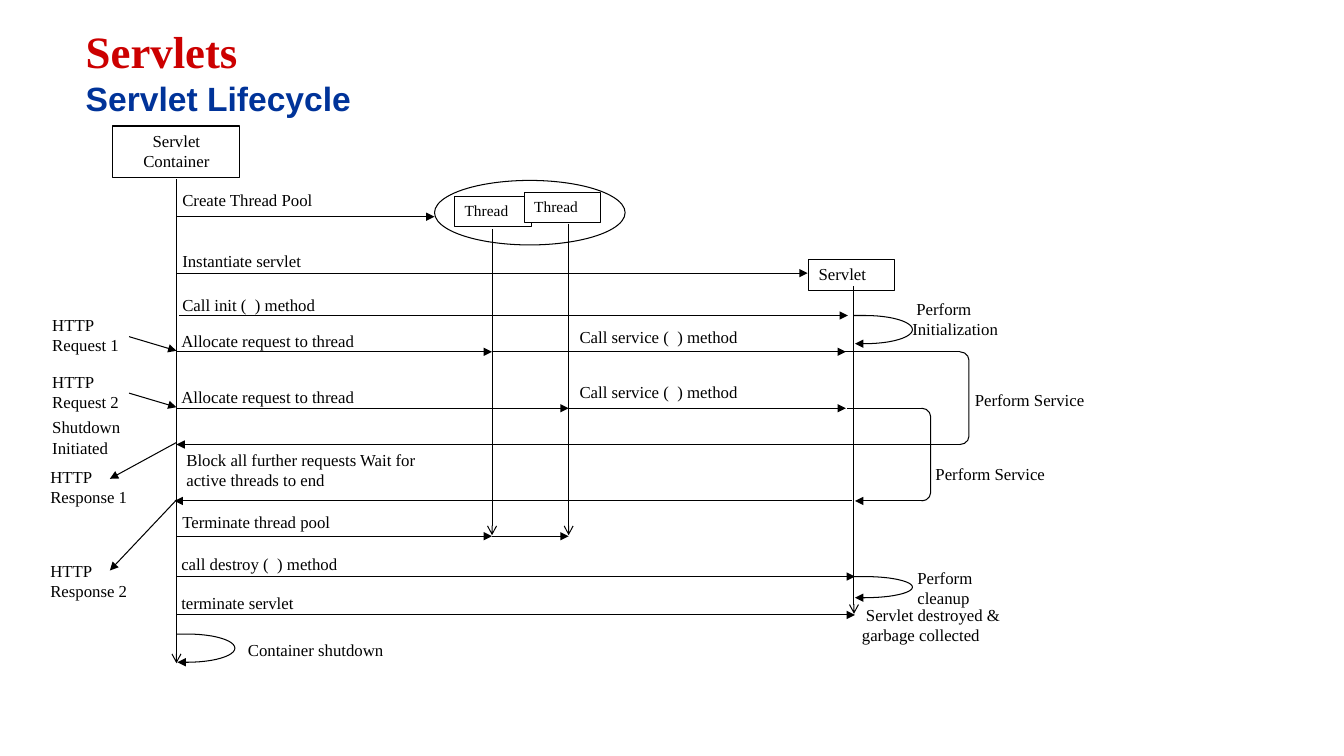
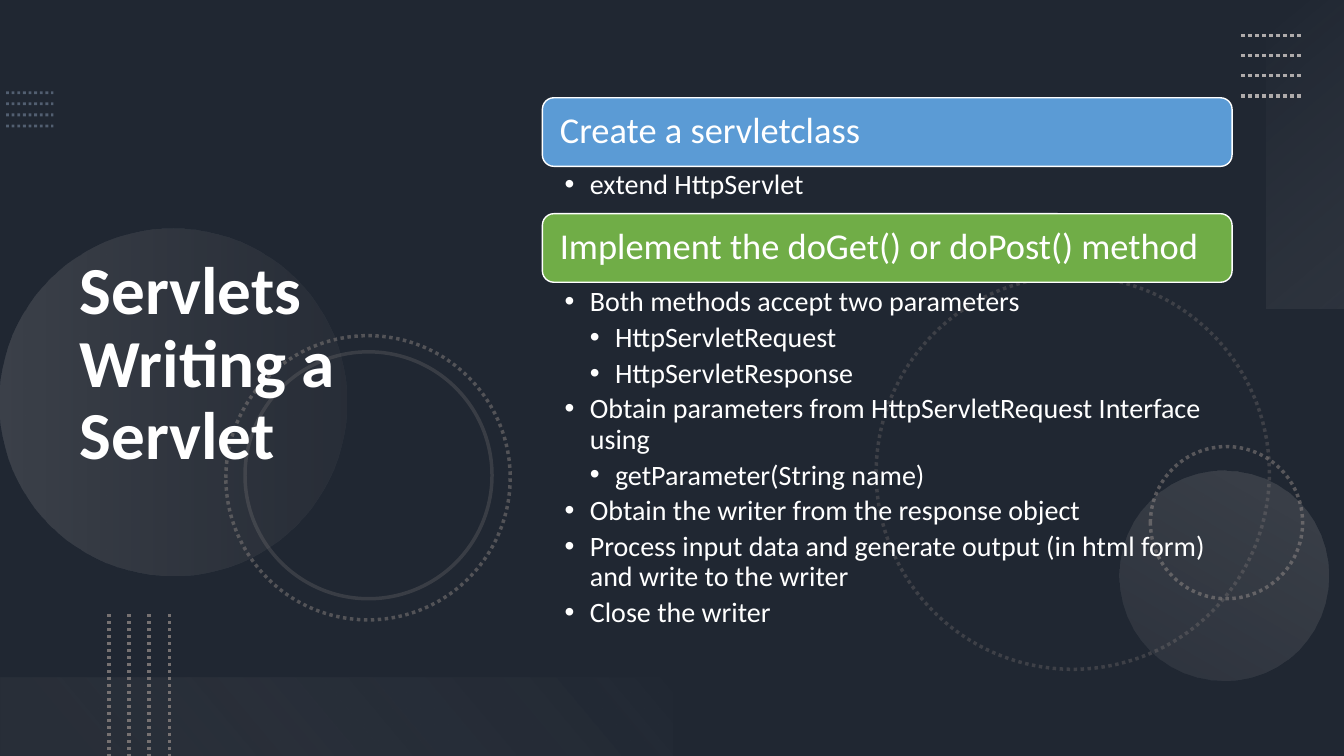
"""Build two slides on servlets: the lifecycle diagram and the steps for writing one."""
from dataclasses import dataclass
from math import cos, pi, sin

from lxml import etree
from pptx import Presentation
from pptx.dml.color import RGBColor
from pptx.enum.dml import MSO_LINE
from pptx.enum.shapes import MSO_CONNECTOR, MSO_SHAPE
from pptx.enum.text import MSO_ANCHOR, MSO_AUTO_SIZE, PP_ALIGN
from pptx.oxml.ns import qn
from pptx.util import Inches, Pt

RECT, ROUND = MSO_SHAPE.RECTANGLE, MSO_SHAPE.ROUNDED_RECTANGLE
OVAL, BRACKET = MSO_SHAPE.OVAL, MSO_SHAPE.RIGHT_BRACKET
STRAIGHT, DOTS = MSO_CONNECTOR.STRAIGHT, MSO_LINE.ROUND_DOT
TOP, MIDDLE = MSO_ANCHOR.TOP, MSO_ANCHOR.MIDDLE
LEFT, CENTER = PP_ALIGN.LEFT, PP_ALIGN.CENTER
NO_FIT = MSO_AUTO_SIZE.NONE
TITLE_ONLY, TWO_CONTENT = 5, 3


@dataclass(frozen=True)
class Theme:
    ink: str = "000000"
    paper: str = "FFFFFF"
    night: str = "202732"
    red: str = "CC0000"
    navy: str = "003399"
    blue: str = "5B9BD5"
    green: str = "70AD47"
    steel: str = "8497B0"
    gray: str = "767171"
    silver: str = "AFABAB"
    pale: str = "F5F5F5"
    serif: str = "Times New Roman"
    sans: str = "Arial"
    body: str = "Calibri"
    small: float = 11
    label: float = 12
    item: float = 20
    subtitle: float = 24
    step: float = 26
    heading: float = 32
    cover: float = 48
    thin: float = 0.75
    dot: float = 2.5


T = Theme()


def rgb(value):
    return RGBColor.from_string(value)


def write(p, text, size=T.label, color=T.ink, font=T.serif, bold=False,
          align=LEFT, spacing=1.0, after=0, indent=0):
    p.alignment, p.line_spacing = align, spacing
    p.space_before, p.space_after = Pt(0), Pt(after)
    if indent:
        p._p.get_or_add_pPr().set("indent", str(Inches(indent)))
    r = p.add_run()
    r.text = text
    r.font.size, r.font.name, r.font.bold = Pt(size), font, bold
    r.font.color.rgb = rgb(color)


def fade(element, percent):
    for node in element.iter(qn("a:srgbClr")):
        etree.SubElement(node, qn("a:alpha")).set("val", str(percent * 1000))


class Deck:
    def __init__(self):
        self.prs = Presentation()
        self.prs.slide_width, self.prs.slide_height = Inches(13.33), Inches(7.5)
        self.s = None

    def slide(self, layout, background):
        self.s = self.prs.slides.add_slide(self.prs.slide_layouts[layout])
        fill = self.s.background.fill
        fill.solid()
        fill.fore_color.rgb = rgb(background)

    def frame(self, sp, anchor=TOP, insets=(0.1, 0.05, 0.1, 0.05)):
        tf = sp.text_frame
        tf.word_wrap, tf.auto_size, tf.vertical_anchor = True, NO_FIT, anchor
        (tf.margin_left, tf.margin_top,
         tf.margin_right, tf.margin_bottom) = map(Inches, insets)
        return tf

    def place(self, sp, box):
        sp.left, sp.top, sp.width, sp.height = map(Inches, box)
        sp.element.getparent().append(sp.element)

    def title(self, box, lines, **style):
        sp = self.s.shapes.title
        self.place(sp, box)
        p = self.frame(sp, MIDDLE).paragraphs[0]
        for i, (text, look) in enumerate(lines):
            if i:
                p.add_line_break()
            write(p, text, bold=True, **look, **style)

    def bullets(self, idx, box, items):
        sp = self.s.placeholders[idx]
        self.place(sp, box)
        tf = self.frame(sp, insets=(0.22, 0.04, 0.2, 0.04))
        for i, (level, text) in enumerate(items):
            p = tf.add_paragraph() if i else tf.paragraphs[0]
            p.level = level
            pPr = p._p.get_or_add_pPr()
            pPr.set("marL", str(Inches(0.25 * (level + 1))))
            etree.SubElement(pPr, qn("a:buFont")).set("typeface", T.sans)
            etree.SubElement(pPr, qn("a:buChar")).set("char", "•")
            write(p, text, T.item, T.paper, T.body, spacing=0.9, after=4,
                  indent=-0.25)

    def label(self, x, y, text, width=2.5, height=0.3, **style):
        sp = self.s.shapes.add_textbox(*map(Inches, (x, y, width, height)))
        write(self.frame(sp).paragraphs[0], text, **style)

    def stroke(self, sp, color=T.ink, width=T.thin, dash=None, alpha=None,
               head=None):
        sp.line.color.rgb, sp.line.width = rgb(color), Pt(width)
        if dash:
            sp.line.dash_style = dash
        ln = sp.line._get_or_add_ln()
        if alpha:
            fade(ln, alpha)
        if head:
            etree.SubElement(ln, qn("a:tailEnd")).set("type", head)

    def line(self, x1, y1, x2, y2, **stroke):
        c = self.s.shapes.add_connector(STRAIGHT, *map(Inches, (x1, y1, x2, y2)))
        self.stroke(c, **stroke)
        etree.SubElement(c._element.spPr, qn("a:effectLst"))

    def arrow(self, x1, y1, x2, y2, head="triangle"):
        self.line(x1, y1, x2, y2, head=head)

    def shape(self, kind, box, fill=None, **stroke):
        sp = self.s.shapes.add_shape(kind, *map(Inches, box))
        sp.shadow.inherit = False
        if fill:
            sp.fill.solid()
            sp.fill.fore_color.rgb = rgb(fill)
        else:
            sp.fill.background()
        self.stroke(sp, **stroke)
        return sp

    def box(self, box, text, fill=T.paper, **style):
        sp = self.shape(RECT, box, fill)
        write(self.frame(sp).paragraphs[0], text, **style)

    def step(self, y, text, fill):
        sp = self.shape(ROUND, (5.38, y, 6.84, 0.68), fill, color=T.paper, width=1)
        tf = self.frame(sp, MIDDLE, (0.14, 0.11, 0.11, 0.11))
        write(tf.paragraphs[0], text, T.step, T.paper, T.body, spacing=0.9)

    def bracket(self, x, y, height):
        self.shape(BRACKET, (x, y, 0.09, height)).adjustments[0] = 0.918

    def glow(self, kind, box, rotation, stops, angle):
        sp = self.shape(kind, box)
        sp.line.fill.background()
        sp.rotation = rotation
        sp.fill.gradient()
        sp.fill.gradient_angle = 360 - angle
        for stop, (position, color, alpha) in zip(sp.fill.gradient_stops, stops):
            stop.position, stop.color.rgb = position, rgb(color)
            fade(stop._gs, alpha)

    def loop(self, x, y, height):
        turns = [pi * i / 24 - pi / 2 for i in range(25)]
        points = [(x + 0.11 + 0.47 * cos(a), y + height / 2 * (1 + sin(a)))
                  for a in turns] + [(x + 0.01, y + height)]
        fb = self.s.shapes.build_freeform(Inches(x), Inches(y))
        fb.add_line_segments([(Inches(a), Inches(b)) for a, b in points], close=False)
        sp = fb.convert_to_shape()
        sp.shadow.inherit = False
        sp.fill.background()
        self.stroke(sp, head="triangle")


def lifecycle(d):
    container, thread1, thread2, servlet = 1.75, 4.88, 5.64, 8.47
    d.slide(TITLE_ONLY, T.paper)
    d.title((0.75, 0.08, 8.5, 1.25), [
        ("Servlets", dict(size=T.heading, color=T.red)),
        ("Servlet Lifecycle", dict(size=T.subtitle, color=T.navy, font=T.sans))])

    d.arrow(container, 1.78, container, 6.58, "arrow")
    d.box((1.12, 1.25, 1.26, 0.51), "Servlet Container", align=CENTER)
    d.shape(OVAL, (4.31, 1.79, 1.89, 0.64))
    d.box((4.51, 1.95, 0.76, 0.3), "Thread", size=T.small)
    d.box((5.2, 1.91, 0.76, 0.3), "Thread", size=T.small)
    d.box((8.02, 2.57, 0.85, 0.31), "Servlet")
    d.arrow(thread1, 2.27, thread1, 5.31, "arrow")
    d.arrow(thread2, 2.22, thread2, 5.31, "arrow")
    d.arrow(servlet, 2.84, servlet, 6.09, "arrow")

    for x1, x2, y in [
            (container, 4.31, 2.15), (container, 8.01, 2.71), (1.78, 8.41, 3.13),
            (container, thread1, 3.49), (thread1, 8.39, 3.49),
            (container, thread2, 4.05), (thread2, 8.39, 4.05),
            (8.48, container, 4.41), (9.14, 8.48, 4.97), (8.45, 1.73, 4.97),
            (container, thread1, 5.32), (thread1, thread2, 5.32),
            (container, 8.48, 5.72), (container, 8.48, 6.1)]:
        d.arrow(x1, y, x2, y)
    for x1, x2, y in [(8.29, 9.52, 3.49), (8.29, 9.52, 4.41), (8.4, 9.14, 4.05)]:
        d.line(x1, y, x2, y)
    for x, y in [(9.52, 3.49), (9.14, 4.05)]:
        d.bracket(x, y, 0.92)
    for x, y, height in [(servlet, 3.13, 0.28), (servlet, 5.72, 0.21),
                         (container, 6.29, 0.28)]:
        d.loop(x, y, height)

    for x, y, text in [
            (1.71, 1.83, "Create Thread Pool"), (1.71, 2.44, "Instantiate servlet"),
            (1.71, 2.87, "Call init (  ) method"),
            (1.7, 3.23, "Allocate request to thread"),
            (1.7, 3.79, "Allocate request to thread"),
            (1.71, 5.03, "Terminate thread pool"),
            (1.7, 5.44, "call destroy (  ) method"),
            (1.7, 5.83, "terminate servlet"), (2.36, 6.3, "Container shutdown"),
            (5.65, 3.19, "Call service (  ) method"),
            (5.65, 3.74, "Call service (  ) method"),
            (9.57, 3.82, "Perform Service"), (9.18, 4.55, "Perform Service")]:
        d.label(x, y, text)
    for x, y, width, text, indent in [
            (1.75, 4.41, 2.56,
             "Block all further requests Wait for active threads to end", 0),
            (8.95, 2.91, 1.23, "Perform Initialization", 0.04),
            (9, 5.58, 0.85, "Perform cleanup", 0),
            (8.45, 5.95, 1.78, "Servlet destroyed & garbage collected", 0.04),
            (0.42, 3.07, 1.0, "HTTP Request 1", 0),
            (0.42, 3.64, 1.0, "HTTP Request 2", 0),
            (0.42, 4.09, 1.04, "Shutdown Initiated", 0),
            (0.4, 4.58, 1.18, "HTTP Response 1", 0),
            (0.4, 5.51, 1.18, "HTTP Response 2", 0)]:
        d.label(x, y, text, width, 0.5, indent=indent)
    for x1, y1, x2, y2 in [
            (1.28, 3.34, container, 3.48), (1.28, 3.9, container, 4.04),
            (container, 4.39, 1.09, 4.75), (container, 4.96, 1.09, 5.66)]:
        d.arrow(x1, y1, x2, y2)


def decorate(d):
    dotted = dict(width=T.dot, dash=DOTS)
    for x, y, size, alpha in [(8.69, 2.74, 3.9, 35), (11.41, 4.43, 1.51, 65),
                              (2.24, 3.33, 2.82, 60)]:
        d.shape(OVAL, (x, y, size, size), color=T.gray, alpha=alpha, **dotted)
    d.shape(OVAL, (2.43, 3.49, 2.45, 2.45), color=T.gray, width=T.dot, alpha=30)
    d.glow(OVAL, (0, 2.27, 3.44, 3.44), 270,
           [(0, T.silver, 20), (1, T.gray, 10)], 90)
    d.glow(OVAL, (11.1, 4.67, 2.08, 2.08), 210,
           [(0, T.silver, 10), (1, T.silver, 20)], 90)
    d.glow(RECT, (11.42, 1.14, 3.06, 0.78), 270,
           [(0, T.pale, 0), (1, T.silver, 10)], 140)
    d.glow(RECT, (0, 6.72, 6.67, 0.78), 180,
           [(0.1, T.gray, 10), (1, T.pale, 0)], 140)
    for i in range(4):
        y = 0.92 + 0.11 * i
        d.line(0.06, y, 0.53, y, color=T.steel, width=2, dash=DOTS, alpha=50)
        y = 0.35 + 0.2 * i
        d.line(12.31, y, 12.91, y, color=T.silver, **dotted)
        x = 1.08 + 0.2 * i
        d.line(x, 6.09, x, 7.5, color=T.gray, **dotted)


def writing(d):
    d.slide(TWO_CONTENT, T.night)
    decorate(d)
    look = dict(size=T.cover, color=T.paper, font=T.body)
    d.title((0.69, 0.54, 4.59, 6.17),
            [("Servlets", look), ("Writing a Servlet", look)], spacing=0.9)
    d.step(0.97, "Create a servletclass", T.blue)
    d.bullets(1, (5.38, 1.65, 6.84, 0.47), [(0, "extend HttpServlet")])
    d.step(2.12, "Implement the doGet() or doPost() method", T.green)
    d.bullets(2, (5.38, 2.81, 6.84, 3.65), [
        (0, "Both methods accept two parameters"),
        (1, "HttpServletRequest"),
        (1, "HttpServletResponse"),
        (0, "Obtain parameters from HttpServletRequest Interface using"),
        (1, "getParameter(String name)"),
        (0, "Obtain the writer from the response object"),
        (0, "Process input data and generate output (in html form) and write to the writer"),
        (0, "Close the writer")])


def main():
    d = Deck()
    lifecycle(d)
    writing(d)
    d.prs.save("out.pptx")


if __name__ == "__main__":
    main()
